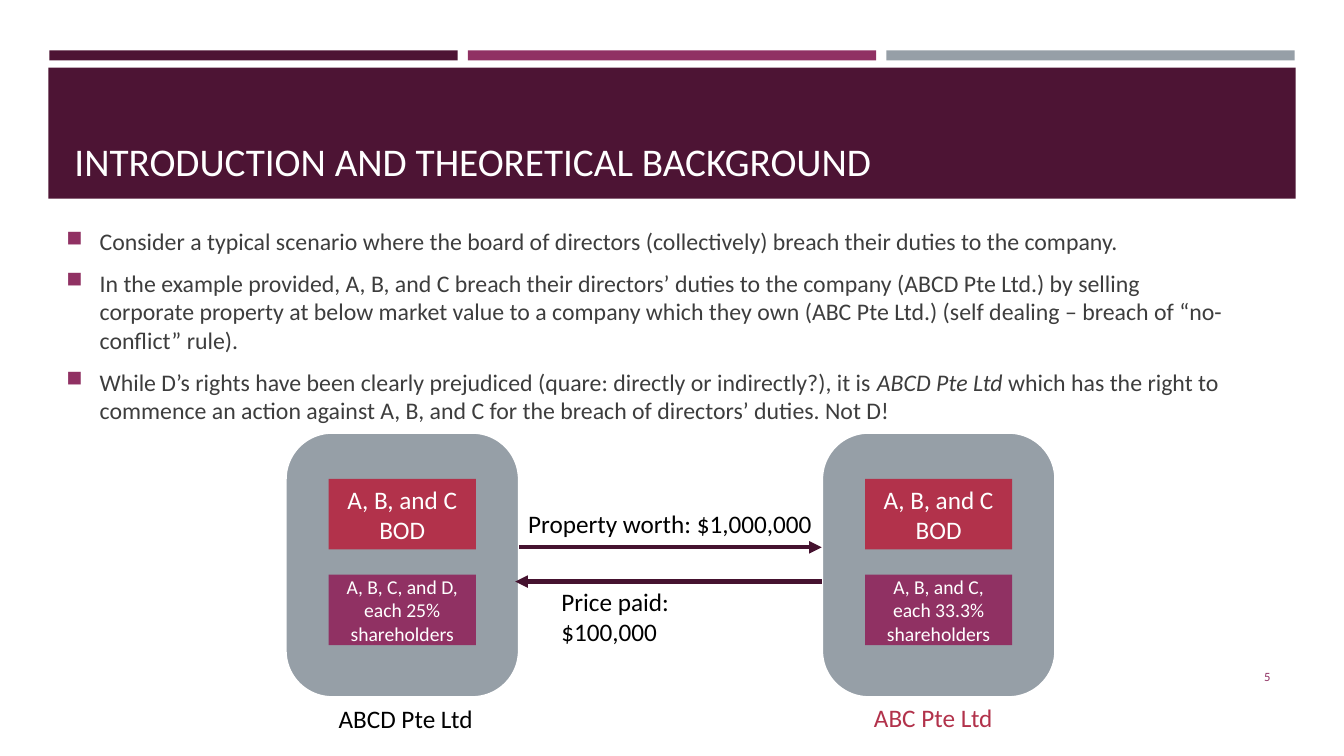
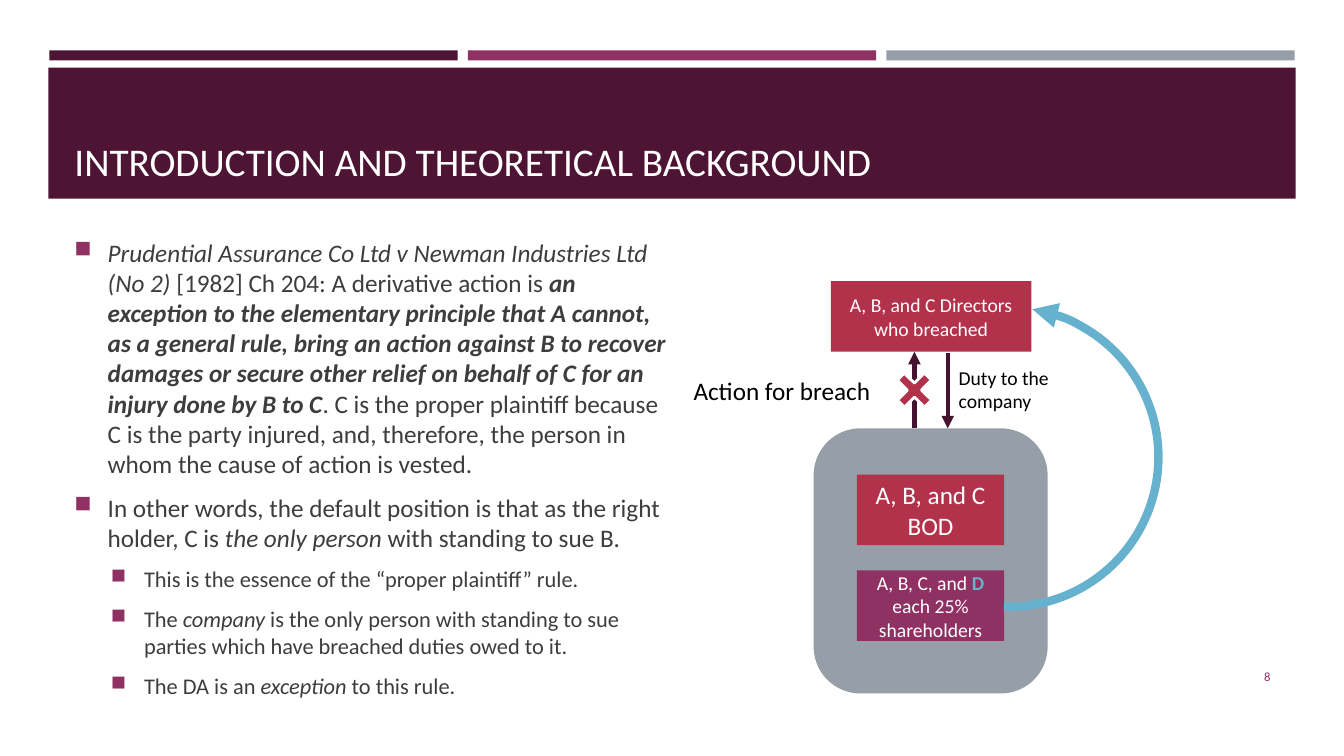
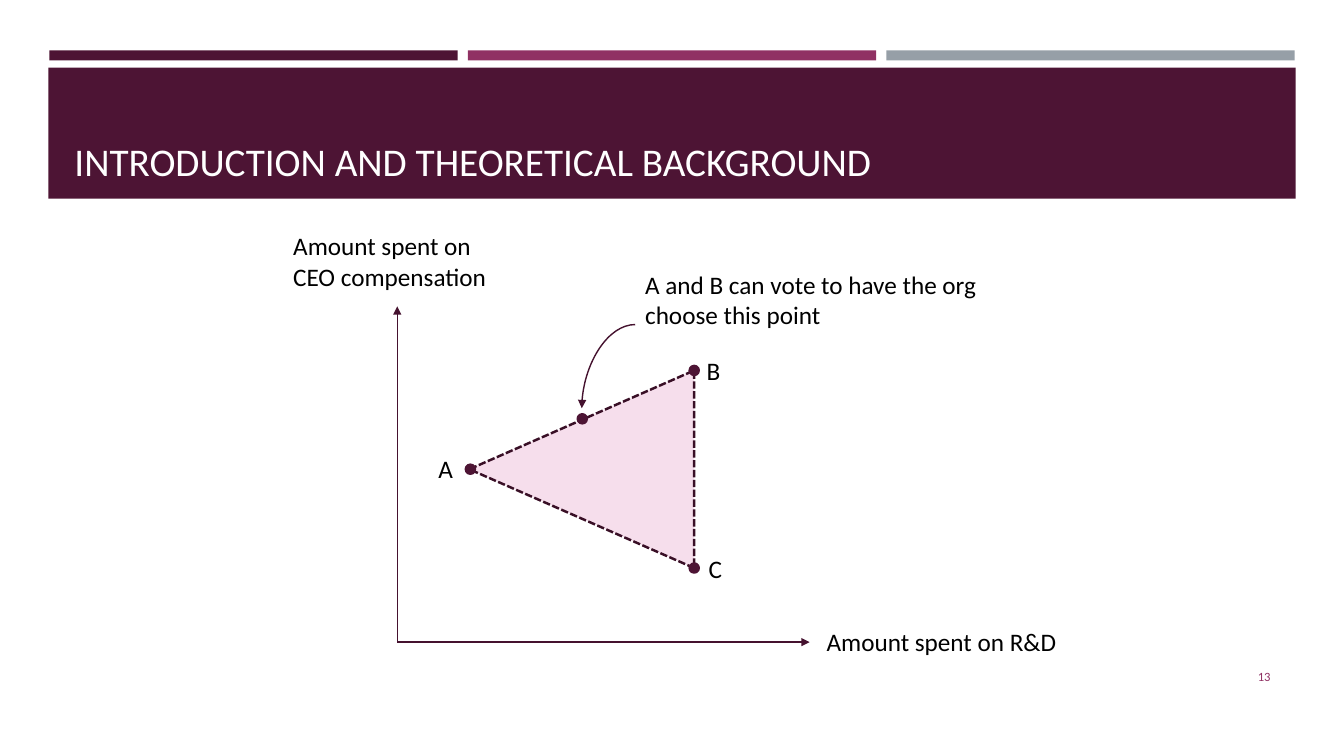
from dataclasses import dataclass

from lxml.etree import SubElement
from pptx import Presentation
from pptx.dml.color import RGBColor
from pptx.enum.dml import MSO_LINE
from pptx.enum.shapes import MSO_CONNECTOR, MSO_SHAPE
from pptx.enum.text import MSO_ANCHOR, PP_ALIGN
from pptx.oxml.ns import qn
from pptx.util import Pt

PX = 9144  # one px is a hundredth of an inch


@dataclass(frozen=True)
class Theme:
    font: str = "Calibri"
    plum: str = "4D1434"
    rose: str = "903163"
    gray: str = "969FA7"
    red: str = "B2324B"
    sky: str = "66B1CE"
    pink: str = "F6DEEC"
    arrow: str = "45122F"
    edge: str = "390F26"
    ink: str = "3D3D3D"
    black: str = "000000"
    white: str = "FFFFFF"
    title: int = 28
    label: int = 18
    body: int = 17
    sub: int = 16
    small: int = 14
    page: int = 9


T = Theme()
TITLE = "INTRODUCTION AND THEORETICAL BACKGROUND"
LOOKS = {
    "": {},
    "i": {"italic": True},
    "bi": {"bold": True, "italic": True},
    "sky": {"bold": True, "color": T.sky},
}


# Basics
def emu(*vals):
    return [v * PX for v in vals]


def put(obj, vals):
    for name, val in vals.items():
        setattr(obj, name, val)


def paint(line, color, width):
    line.color.rgb = RGBColor.from_string(color)
    line.width = Pt(width)


def tip(shape, end):
    SubElement(shape.get_or_add_ln(), qn(f"a:{end}"), type="triangle")


# Text: a paragraph is a list of (words, look) pairs
def write(para, parts, size, color):
    for words, look in parts:
        run = para.add_run()
        run.text = words
        style = {"name": T.font, "size": Pt(size), **LOOKS[look]}
        tint = style.pop("color", color)
        put(run.font, style)
        run.font.color.rgb = RGBColor.from_string(tint)


def label(slide, box, parts, size=T.label, color=T.black,
          anchor=MSO_ANCHOR.TOP, align=PP_ALIGN.LEFT):
    frame = slide.shapes.add_textbox(*emu(*box)).text_frame
    put(frame, {"word_wrap": True, "vertical_anchor": anchor})
    if isinstance(parts, str):
        parts = [(parts, "")]
    frame.paragraphs[0].alignment = align
    write(frame.paragraphs[0], parts, size, color)


def bullet(para, level):
    props = para._p.get_or_add_pPr()
    props.set("marL", str((33 + 36 * level) * PX))
    props.set("indent", str(-33 * PX))
    tint = SubElement(props, qn("a:buClr"))
    SubElement(tint, qn("a:srgbClr"), val=T.rose)
    SubElement(props, qn("a:buSzPct"), val="92000")
    SubElement(props, qn("a:buChar"), char="■")


def points(slide, box, items, sizes):
    frame = slide.shapes.add_textbox(*emu(*box)).text_frame
    frame.word_wrap = True
    for i, (level, parts) in enumerate(items):
        para = frame.add_paragraph() if i else frame.paragraphs[0]
        bullet(para, level)
        size = sizes[level]
        before = Pt(0.2 * size) if i else Pt(0)
        put(para, {"level": level, "space_before": before, "space_after": Pt(6)})
        write(para, parts, size, T.ink)


# Shapes and lines
def block(slide, kind, box, fill=None, line=None, width=1, adj=()):
    shape = slide.shapes.add_shape(kind, *emu(*box))
    shape.shadow.inherit = False
    if fill:
        shape.fill.solid()
        shape.fill.fore_color.rgb = RGBColor.from_string(fill)
    else:
        shape.fill.background()
    if line:
        paint(shape.line, line, width)
    else:
        shape.line.fill.background()
    for i, val in enumerate(adj):
        shape.adjustments[i] = val
    return shape


def card(slide, box, fill, parts, size):
    frame = block(slide, MSO_SHAPE.RECTANGLE, box, fill).text_frame
    put(frame, {"word_wrap": True, "vertical_anchor": MSO_ANCHOR.MIDDLE})
    frame.paragraphs[0].alignment = PP_ALIGN.CENTER
    write(frame.paragraphs[0], parts, size, T.white)


def arrow(slide, start, end, width, kind=MSO_CONNECTOR.STRAIGHT):
    link = slide.shapes.add_connector(kind, *emu(*start, *end))
    paint(link.line, T.arrow, width)
    tip(link, "tailEnd")
    SubElement(link._element.spPr, qn("a:effectLst"))
    return link


def bend(slide, start, end, width):
    # A half turn makes the quarter curve leave its start sideways
    link = arrow(slide, end, start, width, MSO_CONNECTOR.CURVE)
    props = link._element.spPr
    props.find(qn("a:prstGeom")).set("prst", "curvedConnector2")
    props.find(qn("a:xfrm")).set("rot", "10800000")


def firm(slide, left, top, owners, line=None):
    block(slide, MSO_SHAPE.ROUNDED_RECTANGLE, (left, top, 232, 263), T.gray,
          line, 2, [0.2])
    card(slide, (left + 43, top + 46, 146, 70), T.red,
         [("A, B, and C BOD", "")], T.label)
    card(slide, (left + 43, top + 141, 146, 70), T.rose, owners, T.small)


# Shared frame
def page(deck, number):
    slide = deck.slides.add_slide(deck.slide_layouts[6])
    for i, fill in enumerate((T.plum, T.rose, T.gray)):
        block(slide, MSO_SHAPE.RECTANGLE, (49 + 415 * i, 50, 405, 10), fill)
    block(slide, MSO_SHAPE.RECTANGLE, (48, 67, 1237, 130), T.plum)
    label(slide, (64, 77, 1206, 111), TITLE, T.title, T.white,
          MSO_ANCHOR.BOTTOM)
    label(slide, (1155, 651, 115, 40), str(number), T.page, T.rose,
          MSO_ANCHOR.MIDDLE, PP_ALIGN.RIGHT)
    return slide


# Slides
def scene(deck):
    slide = page(deck, 5)
    points(slide, (56, 220, 1175, 210), [
        (0, [("Consider a typical scenario where the board of directors "
              "(collectively) breach their duties to the company.", "")]),
        (0, [("In the example provided, A, B, and C breach their directors’ "
              "duties to the company (ABCD Pte Ltd.) by selling corporate "
              "property at below market value to a company which they own "
              "(ABC Pte Ltd.) (self dealing – breach of “no-conflict” rule).",
              "")]),
        (0, [("While D’s rights have been clearly prejudiced (quare: directly "
              "or indirectly?), it is ", ""),
             ("ABCD Pte Ltd ", "i"),
             ("which has the right to commence an action against A, B, and C "
              "for the breach of directors’ duties. Not D!", "")]),
    ], [T.body])
    firm(slide, 283, 429, [("A, B, C, and D, each 25% shareholders", "")],
         T.white)
    firm(slide, 815, 429, [("A, B, and C, each 33.3% shareholders", "")],
         T.white)
    arrow(slide, (515, 543), (815, 543), 3)
    arrow(slide, (815, 577), (511, 577), 3)
    label(slide, (547, 577, 150, 70), "Price paid: $100,000")
    label(slide, (514, 499, 310, 40), "Property worth: $1,000,000")
    label(slide, (326, 693, 169, 40), "ABCD Pte Ltd")
    label(slide, (857, 692, 150, 40), "ABC Pte Ltd", color=T.red)


def rule(deck):
    slide = page(deck, 8)
    arrow(slide, (940, 350), (940, 425), 3)
    arrow(slide, (907, 425), (907, 349), 3)
    card(slide, (824, 279, 199, 70), T.red,
         [("A, B, and C Directors who breached", "")], T.small)
    firm(slide, 807, 425, [("A, B, C, and ", ""), ("D", "sky"),
                           (" each 25% shareholders", "")])
    label(slide, (941, 358, 163, 57), "Duty to the company", T.small)
    label(slide, (678, 367, 201, 40), "Action for breach")
    arc = block(slide, MSO_SHAPE.ARC, (852, 305, 297, 297), None, T.sky, 6,
                [167.47, 55.08])
    tip(arc, "headEnd")
    cross = block(slide, MSO_SHAPE.CROSS, (888, 368, 38, 38), T.red, T.white,
                  2, [0.37])
    cross.rotation = 314.6
    points(slide, (64, 230, 611, 465), [
        (0, [("Prudential Assurance Co Ltd v Newman Industries Ltd (No 2) ",
              "i"),
             ("[1982] Ch 204: A derivative action is ", ""),
             ("an exception to the elementary principle that A cannot, as a "
              "general rule, bring an action against B to recover damages or "
              "secure other relief on behalf of C for an injury done by B to "
              "C", "bi"),
             (". C is the proper plaintiff because C is the party injured, "
              "and, therefore, the person in whom the cause of action is "
              "vested.", "")]),
        (0, [("In other words, the default position is that as the right "
              "holder, C is ", ""),
             ("the only person ", "i"), ("with standing to sue B.", "")]),
        (1, [("This is the essence of the “proper plaintiff” rule.", "")]),
        (1, [("The ", ""), ("company", "i"),
             (" is the only person with standing to sue parties which have "
              "breached duties owed to it.", "")]),
        (1, [("The DA is an ", ""), ("exception", "i"),
             (" to this rule.", "")]),
    ], [T.label, T.sub])


def votes(deck):
    slide = page(deck, 13)
    for end in ((803, 637), (394, 304)):
        arrow(slide, (394, 637), end, 1)
    area = block(slide, MSO_SHAPE.ISOSCELES_TRIANGLE, (479, 354, 196, 223),
                 T.pink, T.edge, 1.75)
    area.rotation = 270
    area.line.dash_style = MSO_LINE.SQUARE_DOT
    for left, top in ((462, 461), (573, 411), (684, 363), (684, 559)):
        block(slide, MSO_SHAPE.OVAL, (left, top, 9, 9), T.plum, T.plum, 1.75)
    for box, words in (
        ((425, 445, 37, 40), "A"),
        ((691, 348, 34, 40), "B"),
        ((693, 544, 38, 40), "C"),
        ((630, 262, 368, 71), "A and B can vote to have the org choose this point"),
        ((810, 616, 257, 40), "Amount spent on R&D"),
        ((281, 224, 226, 71), "Amount spent on CEO compensation"),
    ):
        label(slide, box, words)
    bend(slide, (630, 322), (577, 405), 1)


def main():
    deck = Presentation()
    put(deck, {"slide_width": 1333 * PX, "slide_height": 750 * PX})
    for build in (scene, rule, votes):
        build(deck)
    deck.save("out.pptx")


if __name__ == "__main__":
    main()
